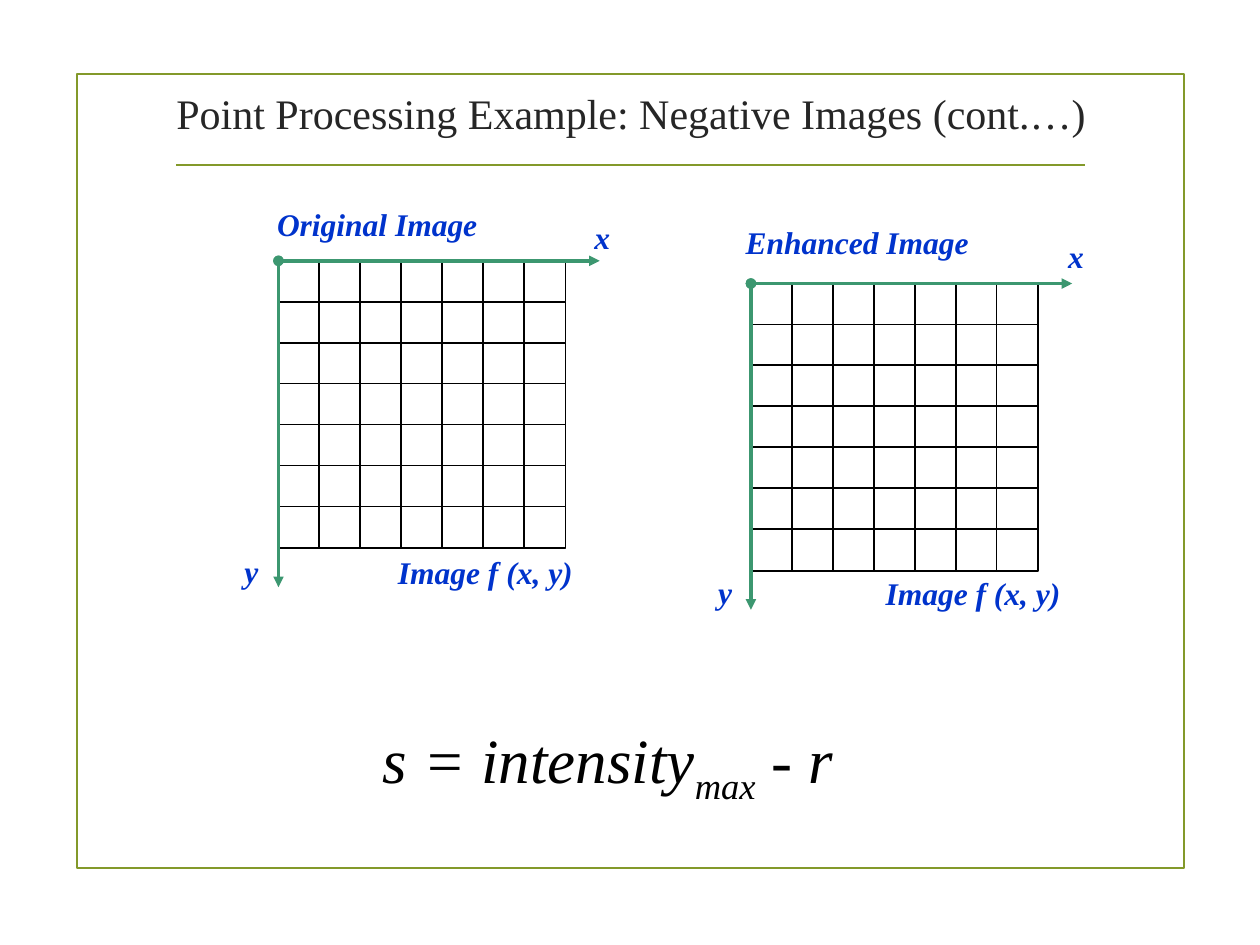
from pptx import Presentation
from pptx.dml.color import RGBColor
from pptx.enum import shapes as kinds, text as txt
from pptx.oxml.ns import qn
from pptx.util import Inches, Pt
from lxml import etree

FONT = "Times New Roman"
OLIVE, GREEN, BLUE = "83992A", "3C9770", "0033CC"
TITLE = "Point Processing Example: Negative Images (cont.…)"
FORMULA = [("s = intensity", 0), ("max", -25000), (" - r", 0)]

CELLS, PITCH, SIDE = 7, 0.325, 0.33
REACH_X, REACH_Y = 2.55, 2.59

# Grid origin, then labels as (text, left, top, width)
GRIDS = [
    ((2.21, 2.07), [("Original Image", 2.1, 1.58, 1.79),
                    ("x", 4.62, 1.68, 0.33),
                    ("y", 1.84, 4.33, 0.31),
                    ("Image f (x, y)", 3.06, 4.34, 1.59)]),
    ((5.96, 2.25), [("Enhanced Image", 5.82, 1.72, 1.97),
                    ("x", 8.38, 1.83, 0.33),
                    ("y", 5.6, 4.5, 0.31),
                    ("Image f (x, y)", 6.93, 4.51, 1.59)]),
]


def color(code):
    return RGBColor.from_string(code)


def add_box(parent, left, top, width, height, line, weight, fill=None):
    box = parent.add_shape(kinds.MSO_SHAPE.RECTANGLE, Inches(left),
                           Inches(top), Inches(width), Inches(height))
    box.shadow.inherit = False
    box.line.color.rgb = color(line)
    box.line.width = Pt(weight)
    if fill:
        box.fill.solid()
        box.fill.fore_color.rgb = color(fill)
    else:
        box.fill.background()


def add_line(parent, start, end, line, weight, ends=()):
    """Draw a straight line; ends lists (tag, type) pairs of line ends."""
    rule = parent.add_connector(kinds.MSO_CONNECTOR.STRAIGHT,
                                *map(Inches, start + end))
    rule.line.color.rgb = color(line)
    rule.line.width = Pt(weight)
    stroke = rule.line._get_or_add_ln()
    for tag, kind in ends:
        etree.SubElement(stroke, qn(tag)).set("type", kind)
    etree.SubElement(rule._element.spPr, qn("a:effectLst"))


def add_text(parent, runs, left, top, width, height, size, ink,
             bold=False, italic=False, wrap=False):
    """Write one paragraph of (text, baseline) runs."""
    box = parent.add_textbox(Inches(left), Inches(top),
                             Inches(width), Inches(height))
    frame = box.text_frame
    frame.word_wrap = wrap
    para = frame.paragraphs[0]
    font = para.font
    font.name, font.size = FONT, Pt(size)
    font.bold, font.italic = bold, italic
    font.color.rgb = color(ink)
    for words, base in runs:
        run = para.add_run()
        run.text = words
        if base:
            run._r.get_or_add_rPr().set("baseline", str(base))
    return frame


def add_grid(parent, origin, labels):
    left, top = origin
    for row in range(CELLS):
        for col in range(CELLS):
            add_box(parent, left + col * PITCH, top + row * PITCH,
                    SIDE, SIDE, "000000", 1, "FFFFFF")
    for end in ((left + REACH_X, top), (left, top + REACH_Y)):
        add_line(parent, origin, end, GREEN, 2,
                 [("a:headEnd", "oval"), ("a:tailEnd", "triangle")])
    for words, x, y, width in labels:
        add_text(parent, [(words, 0)], x, y, width, 0.4, 18, BLUE,
                 bold=True, italic=True)


def main():
    deck = Presentation()
    deck.slide_width, deck.slide_height = Inches(10), Inches(7.5)
    slide = deck.slides.add_slide(deck.slide_layouts[6])
    canvas = slide.shapes

    add_box(canvas, 0.61, 0.59, 8.79, 6.3, OLIVE, 1.25)
    add_line(canvas, (1.4, 1.31), (8.61, 1.31), OLIVE, 1.25)
    title = add_text(canvas, [(TITLE, 0)], 1.29, 0.52, 7.44, 0.75, 24,
                     "262626", wrap=True)
    title.vertical_anchor = txt.MSO_ANCHOR.MIDDLE
    title.paragraphs[0].alignment = txt.PP_ALIGN.CENTER

    for origin, labels in GRIDS:
        add_grid(canvas.add_group_shape().shapes, origin, labels)
    add_text(canvas, FORMULA, 2.94, 5.67, 3.84, 0.7, 36, "000000",
             italic=True)
    deck.save("out.pptx")


if __name__ == "__main__":
    main()
